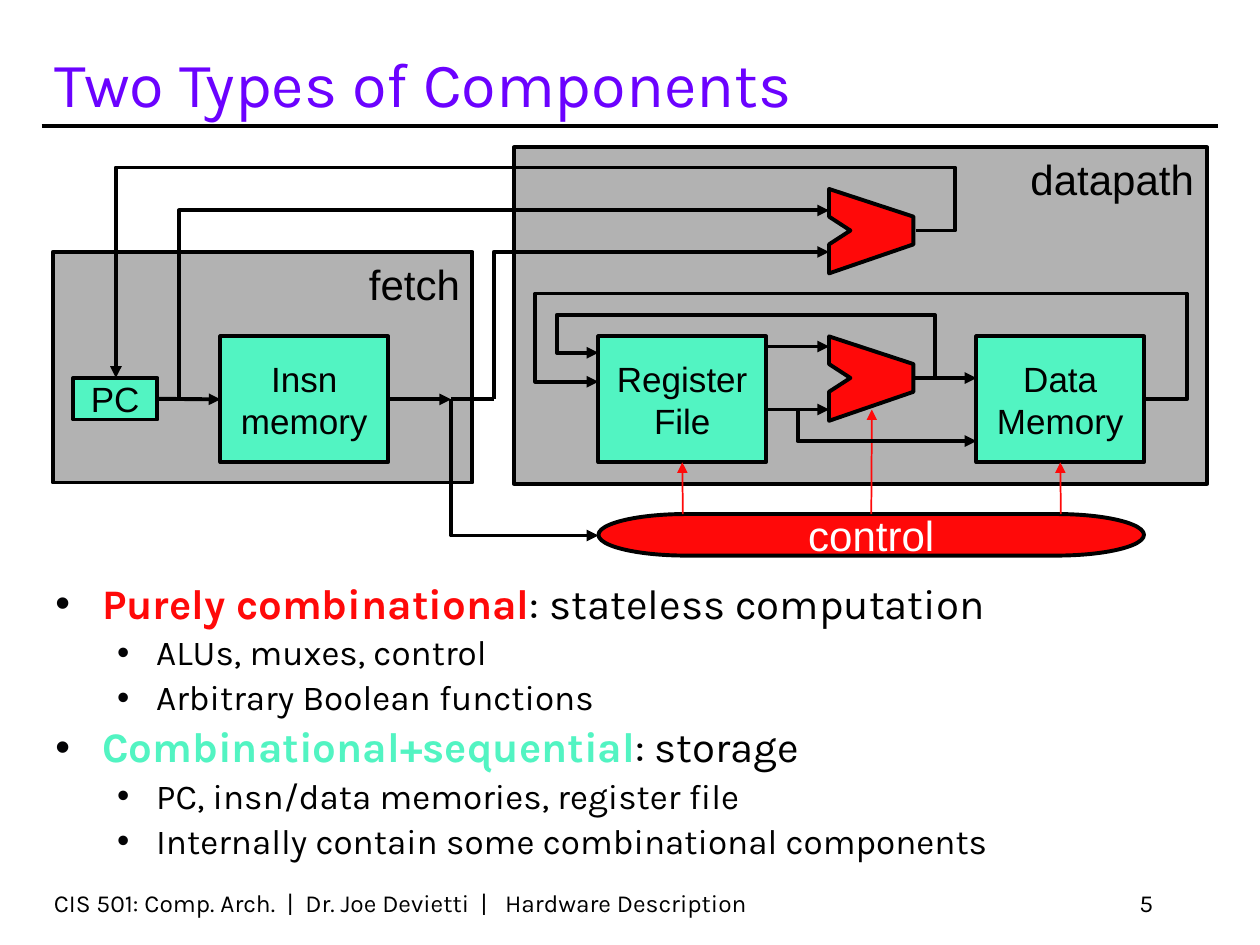
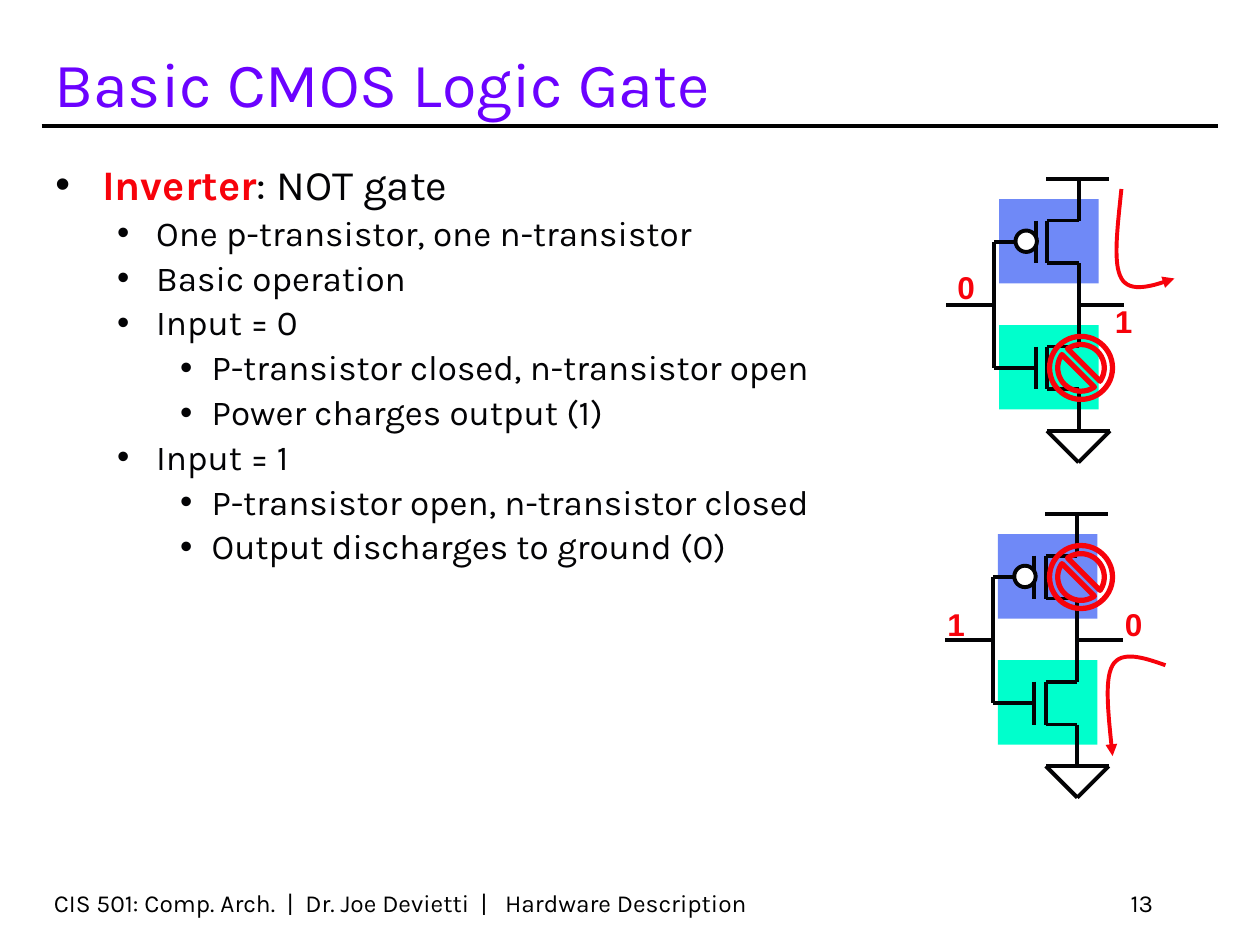
"""Build two computer architecture slides: a datapath diagram and a CMOS inverter."""
from dataclasses import dataclass

import pptx
import pptx.dml.color
import pptx.enum.shapes
import pptx.enum.text
import pptx.oxml
import pptx.oxml.ns
import pptx.util

Inches = pptx.util.Inches
SHAPES = pptx.enum.shapes.MSO_SHAPE
ALIGN = pptx.enum.text.PP_ALIGN
ANCHOR = pptx.enum.text.MSO_ANCHOR


@dataclass(frozen=True)
class Theme:
    title: str = "6B02FF"
    ink: str = "000000"
    soft_ink: str = "030305"
    white: str = "FFFFFF"
    panel: str = "B2B2B2"
    logic: str = "FF0909"
    storage: str = "52F4C2"
    alert: str = "F7020B"
    p_area: str = "6F89F7"
    n_area: str = "00FFCC"
    text_font: str = "Karla"
    diagram_font: str = "Arial"
    title_size: int = 36
    large: int = 24
    medium: int = 20
    digit: int = 18
    footer: int = 14
    stroke: float = 2.25
    thin: float = 1
    ban: float = 3


THEME = Theme()
FOOTER = "CIS 501: Comp. Arch.  |  Dr. Joe Devietti  |   Hardware Description"
LEVELS = [
    (THEME.large, 0.38, -0.37, 4.8),
    (THEME.medium, 0.81, -0.31, 4),
    (THEME.medium, 1.25, -0.25, 4),
]

COMPONENTS = {
    "title": "Two Types of Components",
    "number": "5",
    "body": (0.33, 4.58, 9.33, 2.58),
    "ink": THEME.ink,
    "points": [
        (0, ": stateless computation", "Purely combinational", THEME.logic),
        (1, "ALUs, muxes, control"),
        (1, "Arbitrary Boolean functions"),
        (0, ": storage", "Combinational+sequential", THEME.storage),
        (1, "PC, insn/data memories, register file"),
        (1, "Internally contain some combinational components"),
    ],
}
INVERTER = {
    "title": "Basic CMOS Logic Gate",
    "number": "13",
    "body": (0.33, 1.25, 6.5, 5.58),
    "ink": THEME.soft_ink,
    "points": [
        (0, ": NOT gate", "Inverter", THEME.alert),
        (1, "One p-transistor, one n-transistor"),
        (1, "Basic operation"),
        (1, "Input = 0"),
        (2, "P-transistor closed, n-transistor open"),
        (2, "Power charges output (1)"),
        (1, "Input = 1"),
        (2, "P-transistor open, n-transistor closed"),
        (2, "Output discharges to ground (0)"),
    ],
}

PANELS = [(0.42, 2, 3.33, 1.83), (4.08, 1.17, 5.5, 2.67)]
PANEL_NAMES = [("datapath", (8.08, 1.17, 1.55, 0.5)), ("fetch", (2.83, 2, 0.95, 0.5))]
UNITS = {
    "pc": (["PC"], (0.58, 3, 0.67, 0.33)),
    "insn": (["Insn", "memory"], (1.75, 2.67, 1.33, 1)),
    "registers": (["Register", "File"], (4.75, 2.67, 1.33, 1)),
    "data": (["Data", "Memory"], (7.75, 2.67, 1.33, 1)),
}
CONTROL = (4.75, 4.08, 4.33, 0.33)
ALU_TOPS = [1.5, 2.67]
ALU_LEFT = 6.58
ALU_OUTLINE = [(0, 0), (0.67, 0.22), (0.67, 0.44), (0, 0.67), (0, 0.44), (0.17, 0.33), (0, 0.22)]
STRAIGHT_WIRES = [
    ((1.25, 3.17), (1.75, 3.17), ("pc", 3), ("insn", 1)),
    ((3.08, 3.17), (3.58, 3.17), ("insn", 3), None),
    ((6.08, 2.75), (6.58, 2.75), None, None),
    ((6.08, 3.25), (6.58, 3.25), None, None),
    ((7.25, 3), (7.75, 3), None, None),
]
CONTROL_WIRES = [
    ((5.42, 4.08), (5.42, 3.67), None, ("registers", 2)),
    ((8.42, 4.08), (8.42, 3.67), None, ("data", 2)),
    ((6.92, 4.08), (6.92, 3.25), ("control", 0), None),
]
BENT_WIRES = [
    [(7.42, 3), (7.42, 2.5), (4.42, 2.5), (4.42, 2.8), (4.75, 2.8)],
    [(9.08, 3.17), (9.42, 3.17), (9.42, 2.33), (4.25, 2.33), (4.25, 3.03), (4.75, 3.03)],
    [(3.58, 3.17), (3.58, 4.25), (4.75, 4.25)],
    [(1.42, 3.17), (1.42, 1.67), (6.58, 1.67)],
    [(3.92, 3.17), (3.92, 2), (6.58, 2)],
    [(7.27, 1.83), (7.58, 1.83), (7.58, 1.33), (0.92, 1.33), (0.92, 3)],
    [(6.33, 3.25), (6.33, 3.5), (7.75, 3.5)],
]

GATES = [
    {
        "output": (8.56, 2.42),
        "digits": [("0", 7.5, 2.08), ("1", 8.75, 2.35)],
        "current": [(8.9, 1.5), (8.87, 1.8), (8.83, 2.09), (8.9, 2.21),
                    (8.97, 2.33), (9.15, 2.27), (9.32, 2.21)],
        "ban": (8.33, 2.67),
    },
    {
        "output": (8.55, 5.08),
        "digits": [("1", 7.42, 4.75), ("0", 8.83, 4.75)],
        "current": [(9.25, 5.28), (9.08, 5.22), (8.9, 5.16), (8.83, 5.28),
                    (8.76, 5.4), (8.8, 5.7), (8.83, 6)],
        "ban": (8.33, 4.33),
    },
]


def rgb(color):
    return pptx.dml.color.RGBColor.from_string(color)


def add_xml(parent, tag, attributes="", inner=""):
    namespace = pptx.oxml.ns.nsdecls("a")
    parent.append(pptx.oxml.parse_xml(f"<a:{tag} {namespace} {attributes}>{inner}</a:{tag}>"))


def write(paragraph, text, size, color, font=THEME.text_font, bold=False):
    run = paragraph.add_run()
    run.text = text
    run.font.size = pptx.util.Pt(size)
    run.font.name = font
    run.font.bold = bold
    run.font.color.rgb = rgb(color)


def place(shape, box):
    shape.left, shape.top, shape.width, shape.height = map(Inches, box)


def stroke(item, color, width, arrow=False):
    item.line.color.rgb = rgb(color)
    item.line.width = pptx.util.Pt(width)
    if arrow:
        add_xml(item.element.spPr.find(pptx.oxml.ns.qn("a:ln")), "tailEnd", 'type="triangle"')


def paint(shape, fill=None, line=THEME.ink, width=THEME.stroke, arrow=False):
    shape.shadow.inherit = False
    if fill:
        shape.fill.solid()
        shape.fill.fore_color.rgb = rgb(fill)
    else:
        shape.fill.background()
    if line:
        stroke(shape, line, width, arrow)
    else:
        shape.line.fill.background()
    return shape


def add_block(shapes, kind, box, **look):
    return paint(shapes.add_shape(kind, *map(Inches, box)), **look)


def add_wire(shapes, start, end, color=THEME.ink, width=THEME.stroke, arrow=False):
    wire = shapes.add_connector(pptx.enum.shapes.MSO_CONNECTOR.STRAIGHT, *map(Inches, start + end))
    stroke(wire, color, width, arrow)
    add_xml(wire.element.spPr, "effectLst")
    return wire


def add_outline(shapes, points, close=False, **look):
    corners = [(Inches(x), Inches(y)) for x, y in points]
    builder = shapes.build_freeform(*corners[0])
    builder.add_line_segments(corners[1:], close=close)
    return paint(builder.convert_to_shape(), **look)


def add_label(shapes, text, box, size, color=THEME.ink, font=THEME.diagram_font,
              bold=False, wrap=False, align=ALIGN.LEFT, anchor=ANCHOR.TOP):
    frame = shapes.add_textbox(*map(Inches, box)).text_frame
    frame.word_wrap = wrap
    frame.vertical_anchor = anchor
    frame.paragraphs[0].alignment = align
    write(frame.paragraphs[0], text, size, color, font, bold)


def fill_block(block, lines, size, color):
    frame = block.text_frame
    frame.word_wrap = False
    frame.vertical_anchor = ANCHOR.MIDDLE
    for index, line in enumerate(lines):
        paragraph = frame.add_paragraph() if index else frame.paragraphs[0]
        paragraph.alignment = ALIGN.CENTER
        write(paragraph, line, size, color, THEME.diagram_font)


def add_points(frame, points, ink):
    for index, (level, text, *lead) in enumerate(points):
        size, margin, indent, before = LEVELS[level]
        paragraph = frame.paragraphs[0] if index == 0 else frame.add_paragraph()
        paragraph.level = level
        properties = paragraph._p.get_or_add_pPr()
        properties.set("marL", str(Inches(margin)))
        properties.set("indent", str(Inches(indent)))
        add_xml(properties, "buClr", inner=f'<a:srgbClr val="{THEME.soft_ink}"/>')
        add_xml(properties, "buFont", f'typeface="{THEME.diagram_font}"')
        add_xml(properties, "buChar", 'char="•"')
        paragraph.line_spacing = 0.9
        paragraph.space_before = pptx.util.Pt(before if index else 0)
        if lead:
            write(paragraph, lead[0], size, lead[1], bold=True)
        write(paragraph, text, size, ink)


def add_slide(deck, content):
    slide = deck.slides.add_slide(deck.slide_layouts[1])
    title, body = slide.shapes.title, slide.placeholders[1]
    place(title, (0.33, 0.25, 8.83, 0.75))
    place(body, content["body"])
    for placeholder in (title, body):
        placeholder.text_frame.auto_size = pptx.enum.text.MSO_AUTO_SIZE.NONE
    title.text_frame.vertical_anchor = ANCHOR.BOTTOM
    heading = title.text_frame.paragraphs[0]
    heading.alignment = ALIGN.LEFT
    write(heading, content["title"], THEME.title_size, THEME.title)
    add_points(body.text_frame, content["points"], content["ink"])
    add_wire(slide.shapes, (0.33, 1), (9.67, 1))
    for text, left, width, align in [(FOOTER, 0.33, 6.25, ALIGN.LEFT),
                                     (content["number"], 7.17, 2.08, ALIGN.RIGHT)]:
        add_label(slide.shapes, text, (left, 7, width, 0.33), THEME.footer, font=THEME.text_font,
                  wrap=True, align=align, anchor=ANCHOR.BOTTOM)
    return slide.shapes


def draw_datapath(shapes):
    for panel in PANELS:
        add_block(shapes, SHAPES.RECTANGLE, panel, fill=THEME.panel)
    blocks = {}
    for name, (lines, box) in UNITS.items():
        blocks[name] = add_block(shapes, SHAPES.RECTANGLE, box, fill=THEME.storage)
        fill_block(blocks[name], lines, THEME.medium, THEME.ink)
    blocks["control"] = add_block(shapes, SHAPES.FLOWCHART_TERMINATOR, CONTROL, fill=THEME.logic)
    fill_block(blocks["control"], ["control"], THEME.large, THEME.white)
    for top in ALU_TOPS:
        outline = [(ALU_LEFT + x, top + y) for x, y in ALU_OUTLINE]
        add_outline(shapes, outline, close=True, fill=THEME.logic)
    for wires, color, width in [(STRAIGHT_WIRES, THEME.ink, THEME.stroke),
                                (CONTROL_WIRES, THEME.logic, THEME.thin)]:
        for start, end, source, target in wires:
            wire = add_wire(shapes, start, end, color, width, arrow=True)
            if source:
                wire.begin_connect(blocks[source[0]], source[1])
            if target:
                wire.end_connect(blocks[target[0]], target[1])
    add_wire(shapes, (3.58, 3.17), (3.92, 3.17))
    for bends in BENT_WIRES:
        add_outline(shapes, bends, arrow=True)
    for name, box in PANEL_NAMES:
        add_label(shapes, name, box, THEME.large)


def draw_lines(shapes, x, y, lines):
    for x1, y1, x2, y2 in lines:
        add_wire(shapes, (x + x1, y + y1), (x + x2, y + y2), THEME.soft_ink)


def draw_transistor(shapes, x, y, inverted):
    parts = shapes.add_group_shape().shapes
    draw_lines(parts, x, y, [(bar, -0.17, bar, 0.17) for bar in (-0.25, -0.34)])
    for side in (-1, 1):
        near, far = side * 0.17, side * 0.5
        draw_lines(parts, x, y, [(0, near, 0, far), (-0.25, near, 0, near)])
    draw_lines(parts, x, y, [(-0.34, 0, -0.67, 0)])
    if inverted:
        add_block(parts, SHAPES.OVAL, (x - 0.5, y - 0.09, 0.17, 0.17),
                  fill=THEME.white, line=THEME.soft_ink)


def smooth_curve(knots, steps=16):
    points = [knots[0]]
    for first in range(0, len(knots) - 1, 3):
        a, b, c, d = knots[first:first + 4]
        for step in range(1, steps + 1):
            t = step / steps
            weights = ((1 - t) ** 3, 3 * t * (1 - t) ** 2, 3 * t * t * (1 - t), t ** 3)
            points.append(tuple(sum(w * p for w, p in zip(weights, axis)) for axis in zip(a, b, c, d)))
    return points


def draw_gate(shapes, gate):
    x, y = gate["output"]
    for offset, area in [(0.5, THEME.n_area), (-0.5, THEME.p_area)]:
        add_block(shapes, SHAPES.RECTANGLE, (x - 0.63, y + offset - 0.34, 0.79, 0.67),
                  fill=area, line=None)
    draw_lines(shapes, x, y, [(-0.67, -0.5, -0.67, 0.5), (0.36, 0, 0, 0),
                              (0.24, -1, -0.26, -1), (-0.67, 0, -1.05, 0)])
    ground = shapes.add_group_shape().shapes
    draw_lines(ground, x, y, [(0.25, 1, -0.25, 1), (-0.25, 1, 0, 1.25), (0.25, 1, 0, 1.25)])
    draw_transistor(shapes, x, y + 0.5, inverted=False)
    draw_transistor(shapes, x, y - 0.5, inverted=True)
    for digit, left, top in gate["digits"]:
        add_label(shapes, digit, (left, top, 0.34, 0.4), THEME.digit, THEME.alert, bold=True)
    add_outline(shapes, smooth_curve(gate["current"]), line=THEME.alert, arrow=True)
    ban = add_block(shapes, SHAPES.NO_SYMBOL, (*gate["ban"], 0.5, 0.5),
                    line=THEME.alert, width=THEME.ban)
    ban.adjustments[0] = 0.13


def main():
    deck = pptx.Presentation()
    deck.slide_width, deck.slide_height = Inches(10), Inches(7.5)
    draw_datapath(add_slide(deck, COMPONENTS))
    inverter = add_slide(deck, INVERTER)
    for gate in GATES:
        draw_gate(inverter, gate)
    deck.save("out.pptx")


if __name__ == "__main__":
    main()
